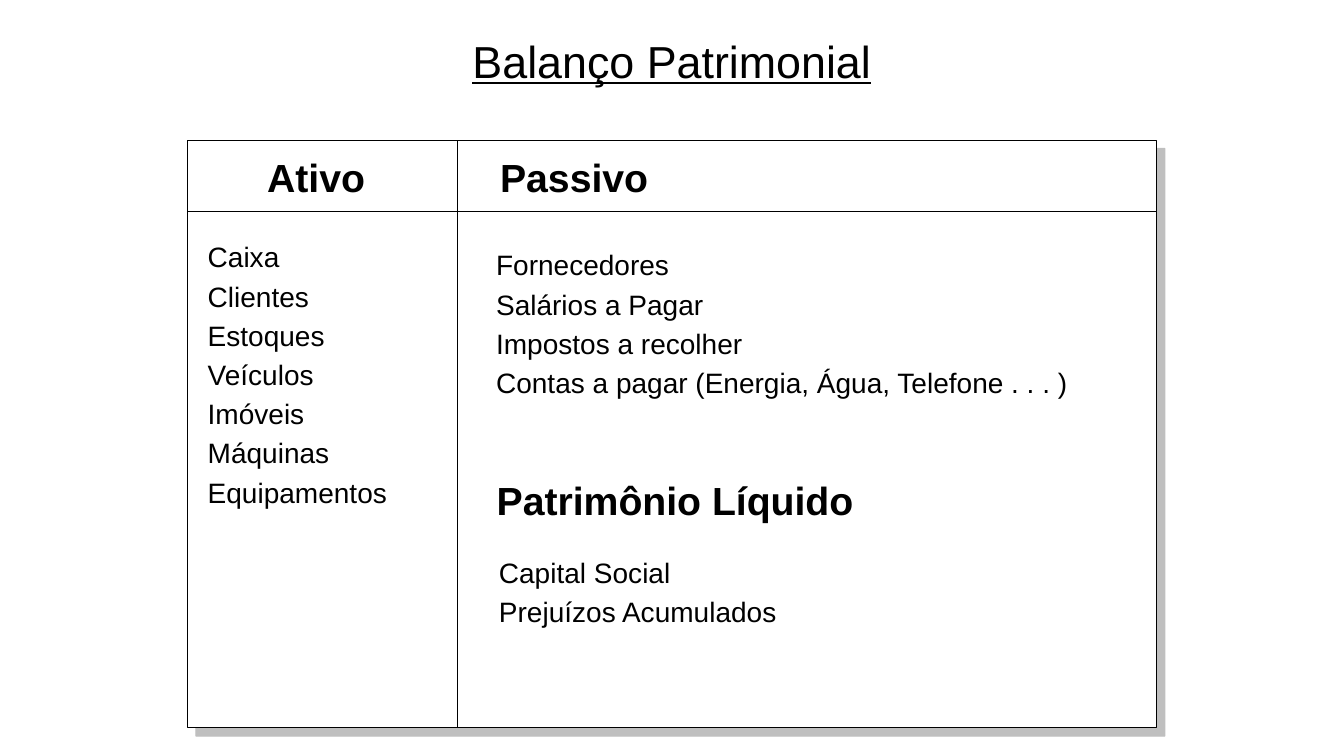
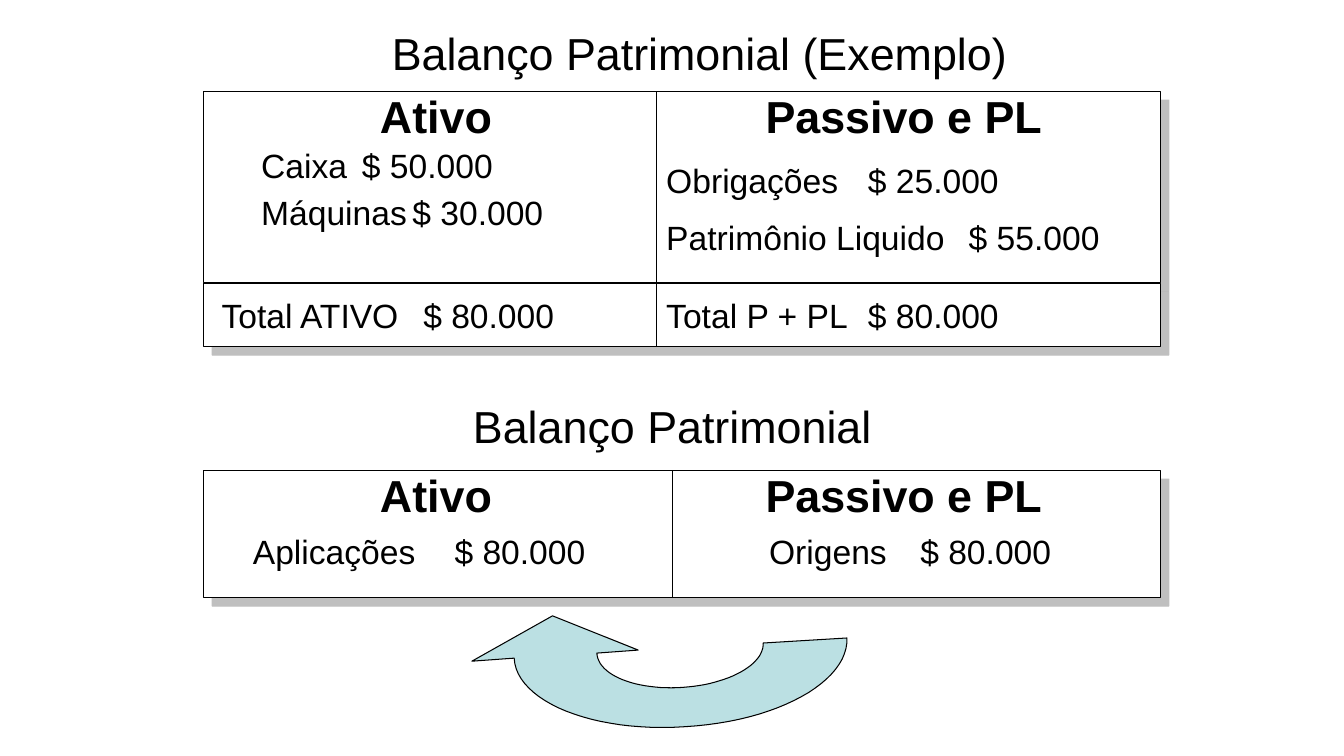
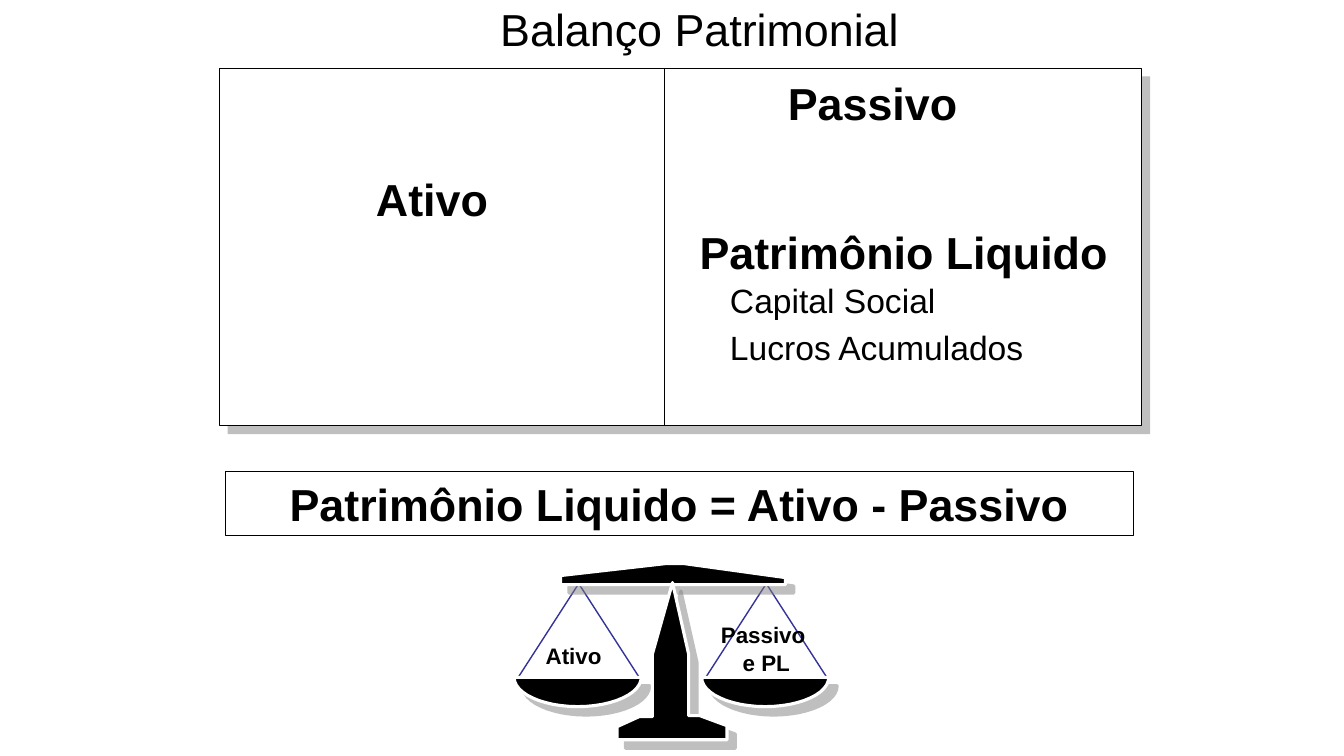
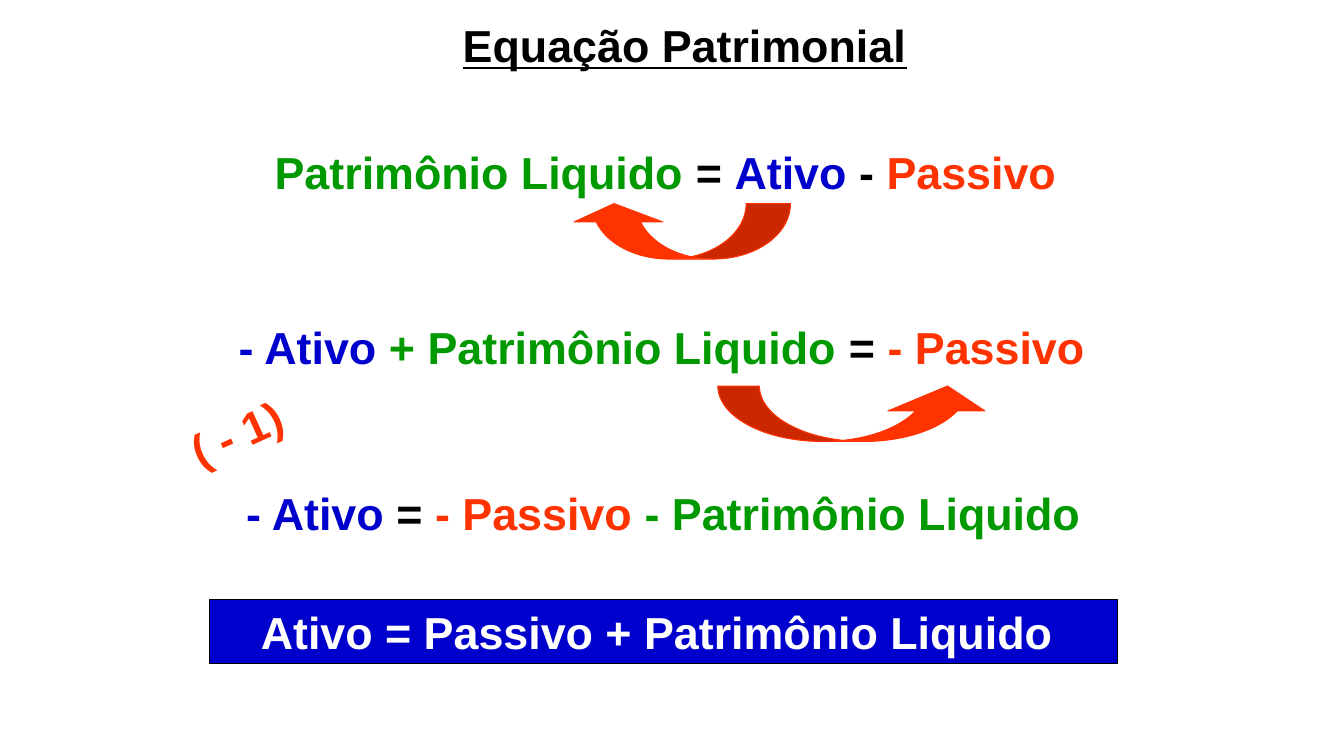
import math
from dataclasses import dataclass

import lxml.etree
import pptx
import pptx.dml.color
import pptx.enum.shapes
import pptx.enum.text
import pptx.oxml.ns
import pptx.util

PX = 9144
SHAPES = pptx.enum.shapes.MSO_SHAPE
ALIGN = pptx.enum.text.PP_ALIGN
qn = pptx.oxml.ns.qn


@dataclass(frozen=True)
class Theme:
    font: str = "Arial"
    black: str = "000000"
    white: str = "FFFFFF"
    shade: str = "808080"
    pale: str = "BBE0E3"
    cord: str = "333399"
    equity: str = "009900"
    assets: str = "0000CC"
    debts: str = "FF3300"
    title: int = 32
    section: int = 28
    amount: int = 24
    item: int = 20
    label: int = 16
    hairline: float = 0.75
    outline: float = 2.25


THEME = Theme()


def px(length):
    return pptx.util.Emu(round(length * PX))


def rgb(color):
    return pptx.dml.color.RGBColor.from_string(color)


def add_xml(parent, tag, **attributes):
    return lxml.etree.SubElement(parent, qn(tag), attributes)


def space_and_tabs(paragraph, before, tab):
    properties = paragraph._p.get_or_add_pPr()
    properties.set("marL", "0")
    properties.set("indent", "0")
    add_xml(add_xml(properties, "a:spcBef"), "a:spcPct", val=str(before * 1000))
    add_xml(properties, "a:buNone")
    if tab:
        add_xml(add_xml(properties, "a:tabLst"), "a:tab", pos=str(px(tab)), algn="l")


def write(frame, lines, size=THEME.title, color=THEME.black, bold=False,
          underline=False, center=False, before=20, tab=None, wrap=True):
    frame.word_wrap = wrap
    frame.auto_size = pptx.enum.text.MSO_AUTO_SIZE.NONE
    frame.vertical_anchor = pptx.enum.text.MSO_ANCHOR.TOP
    for index, line in enumerate(lines):
        paragraph = frame.paragraphs[0] if index == 0 else frame.add_paragraph()
        paragraph.alignment = ALIGN.CENTER if center else ALIGN.LEFT
        space_and_tabs(paragraph, before, tab)
        parts = [(line, color)] if isinstance(line, str) else line
        for words, tint in parts:
            run = paragraph.add_run()
            run.text = words
            run.font.name = THEME.font
            run.font.size = pptx.util.Pt(size)
            run.font.bold = bold
            run.font.underline = underline
            run.font.color.rgb = rgb(tint)


def add_text(slide, box, *lines, rotation=0, **style):
    label = slide.shapes.add_textbox(*map(px, box))
    label.rotation = rotation
    write(label.text_frame, lines, **style)


def fill_placeholder(slide, index, box, *lines, **style):
    holder = slide.placeholders[index]
    holder.left, holder.top, holder.width, holder.height = map(px, box)
    write(holder.text_frame, lines, **style)


def add_heading(slide, box, words, **style):
    add_text(slide, box, words, bold=True, center=True, **style)


def new_slide(deck, layout, title_box, title, **style):
    slide = deck.slides.add_slide(deck.slide_layouts[layout])
    fill_placeholder(slide, 0, title_box, title, center=True, **style)
    return slide


def paint(shape, fill, line=THEME.black, width=THEME.hairline, raised=False):
    if fill:
        shape.fill.solid()
        shape.fill.fore_color.rgb = rgb(fill)
    else:
        shape.fill.background()
    shape.line.color.rgb = rgb(line)
    shape.line.width = pptx.util.Pt(width)
    shape.shadow.inherit = False
    if raised:
        effects = shape.element.spPr.find(qn("a:effectLst"))
        cast = add_xml(effects, "a:outerShdw", blurRad="0", dist="107950",
                       dir="2700000", algn="ctr", rotWithShape="0")
        add_xml(add_xml(cast, "a:srgbClr", val=THEME.shade), "a:alpha", val="50000")


def add_panel(slide, box):
    panel = slide.shapes.add_shape(SHAPES.RECTANGLE, *map(px, box))
    paint(panel, THEME.white, raised=True)
    slide.shapes.element.insert(2, panel.element)


def add_formula(slide, box, words, fill=None, color=THEME.black):
    formula = slide.shapes.add_shape(SHAPES.RECTANGLE, *map(px, box))
    paint(formula, fill)
    write(formula.text_frame, [words], bold=True, center=True, color=color)


def add_line(slide, start, end, color=THEME.black, width=THEME.hairline):
    line = slide.shapes.add_connector(
        pptx.enum.shapes.MSO_CONNECTOR.STRAIGHT, *map(px, start + end))
    line.line.color.rgb = rgb(color)
    line.line.width = pptx.util.Pt(width)
    add_xml(line.element.spPr, "a:effectLst")


def add_outline(slide, points, fill, **finish):
    fine = [(x * 10, y * 10) for x, y in points]
    builder = slide.shapes.build_freeform(*fine[0], scale=PX / 10)
    builder.add_line_segments(fine[1:], close=True)
    paint(builder.convert_to_shape(), fill, **finish)


def add_weight(slide, points):
    add_outline(slide, points, THEME.black, line=THEME.white,
                width=THEME.outline, raised=True)


def curve(*controls, steps=24):
    return [tuple(sum(math.comb(3, k) * (1 - t) ** (3 - k) * t ** k * control[axis]
                      for k, control in enumerate(controls)) for axis in (0, 1))
            for t in (step / steps for step in range(steps + 1))]


def add_curved_arrow(slide, box, adjustments, rotation=0, flipped=False):
    arrow = slide.shapes.add_shape(SHAPES.CURVED_DOWN_ARROW, *map(px, box))
    for index, value in enumerate(adjustments):
        arrow.adjustments[index] = value
    arrow.rotation = rotation
    if flipped:
        arrow.element.spPr.find(qn("a:xfrm")).set("flipV", "1")
    paint(arrow, THEME.debts, line=THEME.debts)


def add_flow_arrow(slide):
    inner = (curve((592, 648), (593, 670), (631, 685), (677, 682))
             + curve((677, 682), (723, 679), (758, 659), (757, 638)))
    outer = (curve((840, 633), (842, 676), (771, 716), (679, 721))
             + curve((679, 721), (588, 727), (512, 696), (510, 653)))
    head = [(468, 656), (548, 611), (633, 645)]
    add_outline(slide, inner + outer + head, THEME.pale)


def add_scale(slide):
    sides = [(574, (531, 632, 76, 37), ["Ativo"]),
             (760, (705, 611, 110, 65), ["Passivo ", "e PL"])]
    for middle, label_box, label in sides:
        for reach in (60, -60):
            add_line(slide, (middle, 579), (middle + reach, 672), THEME.cord, 1)
        add_weight(slide, [(middle - 1 + 63 * math.cos(math.pi * step / 24),
                            672 + 29 * math.sin(math.pi * step / 24))
                           for step in range(25)])
        add_text(slide, label_box, *label, size=THEME.label, bold=True,
                 center=True, before=5, wrap=False)
    beam = [(556, 580), (779, 580), (779, 573), (678, 559), (661, 559), (556, 571)]
    pillar = [(667, 578), (683, 649), (683, 710), (694, 710), (721, 720), (721, 734),
              (612, 734), (612, 721), (634, 711), (647, 711), (647, 649)]
    add_weight(slide, beam)
    add_weight(slide, pillar)


def build_structure(deck):
    slide = new_slide(deck, 4, (283, 28, 767, 84), "Balanço Patrimonial", underline=True)
    add_panel(slide, (186, 139, 961, 583))
    fill_placeholder(slide, 1, (170, 147, 287, 55), "Ativo",
                     size=THEME.section, bold=True, center=True)
    fill_placeholder(slide, 2, (196, 233, 370, 290), "Caixa", "Clientes", "Estoques",
                     "Veículos", "Imóveis", "Máquinas", "Equipamentos", size=THEME.item)
    fill_placeholder(slide, 3, (486, 147, 606, 55), "Passivo",
                     size=THEME.section, bold=True)
    fill_placeholder(slide, 4, (482, 241, 618, 170), "Fornecedores", "Salários a Pagar",
                     "Impostos a recolher",
                     "Contas a pagar (Energia, Água, Telefone . . . )", size=THEME.item)
    add_heading(slide, (455, 468, 429, 63), "Patrimônio Líquido", size=THEME.section)
    add_text(slide, (485, 546, 455, 95), "Capital Social", "Prejuízos Acumulados",
             size=THEME.item)
    add_line(slide, (454, 721), (454, 139))
    add_line(slide, (186, 210), (1147, 210))


def build_example(deck):
    slide = new_slide(deck, 1, (344, 21, 700, 84), "Balanço Patrimonial (Exemplo)")
    for top, height in ((467, 126), (281, 63), (91, 189)):
        add_panel(slide, (202, top, 949, height))
    for top in (83, 459):
        add_heading(slide, (289, top, 287, 55), "Ativo")
        add_heading(slide, (702, top, 389, 55), "Passivo e PL")
    fill_placeholder(slide, 1, (249, 139, 394, 95), "Caixa\t$ 50.000",
                     "Máquinas\t$ 30.000", size=THEME.amount, tab=220)
    entries = [(651, 154, "Obrigações\t$ 25.000", 1005),
               (651, 210, "Patrimônio Liquido\t$ 55.000", 1001),
               (210, 288, "Total ATIVO\t$ 80.000", 477),
               (651, 288, "Total P + PL\t$ 80.000", 1005),
               (241, 522, "Aplicações\t$ 80.000", 477),
               (753, 522, "Origens\t$ 80.000", 907)]
    for left, top, entry, amount_left in entries:
        add_text(slide, (left, top, 567, 95), entry, size=THEME.amount,
                 tab=amount_left - left - 10)
    add_line(slide, (651, 343), (651, 91))
    add_line(slide, (667, 467), (667, 593))
    add_text(slide, (317, 391, 700, 84), "Balanço Patrimonial", center=True)
    add_flow_arrow(slide)


def build_balance(deck):
    slide = new_slide(deck, 1, (344, -3, 700, 84), "Balanço Patrimonial")
    add_panel(slide, (218, 68, 914, 354))
    add_formula(slide, (224, 468, 900, 63), "Patrimônio Liquido = Ativo - Passivo")
    add_heading(slide, (722, 70, 287, 55), "Passivo")
    add_heading(slide, (682, 218, 429, 63), "Patrimônio Liquido")
    add_heading(slide, (285, 165, 287, 55), "Ativo")
    fill_placeholder(slide, 1, (714, 273, 418, 95), "Capital Social",
                     "Lucros Acumulados", size=THEME.amount)
    add_line(slide, (659, 422), (659, 68))
    add_scale(slide)


def build_equation(deck):
    slide = new_slide(deck, 5, (329, 13, 700, 84), "Equação Patrimonial",
                      bold=True, underline=True)
    black, equity, assets, debts = THEME.black, THEME.equity, THEME.assets, THEME.debts
    equations = [
        (210, 139, [("Patrimônio Liquido", equity), (" = ", black), ("Ativo", assets),
                    (" - ", black), ("Passivo", debts)]),
        (200, 312, [(" ", black), ("- Ativo ", assets), ("+ Patrimônio Liquido", equity),
                    (" = ", black), ("- Passivo", debts)]),
        (208, 477, [(" ", black), ("- Ativo", assets), (" = ", black),
                    ("- Passivo ", debts), ("- Patrimônio Liquido ", equity)]),
    ]
    for left, top, terms in equations:
        add_heading(slide, (left, top, 900, 63), terms)
    add_curved_arrow(slide, (565, 202, 219, 55), (0.8, 1.6, 0.33), rotation=180)
    add_curved_arrow(slide, (712, 383, 276, 55), (0.75, 1.75, 0.45), flipped=True)
    add_heading(slide, (171, 399, 118, 40), "( - 1)", color=debts, rotation=335.7)
    add_formula(slide, (208, 595, 900, 63), "Ativo = Passivo + Patrimônio Liquido ",
                fill=assets, color=THEME.white)


def main():
    deck = pptx.Presentation()
    deck.slide_width, deck.slide_height = px(1333), px(750)
    build_structure(deck)
    build_example(deck)
    build_balance(deck)
    build_equation(deck)
    deck.save("out.pptx")


if __name__ == "__main__":
    main()
